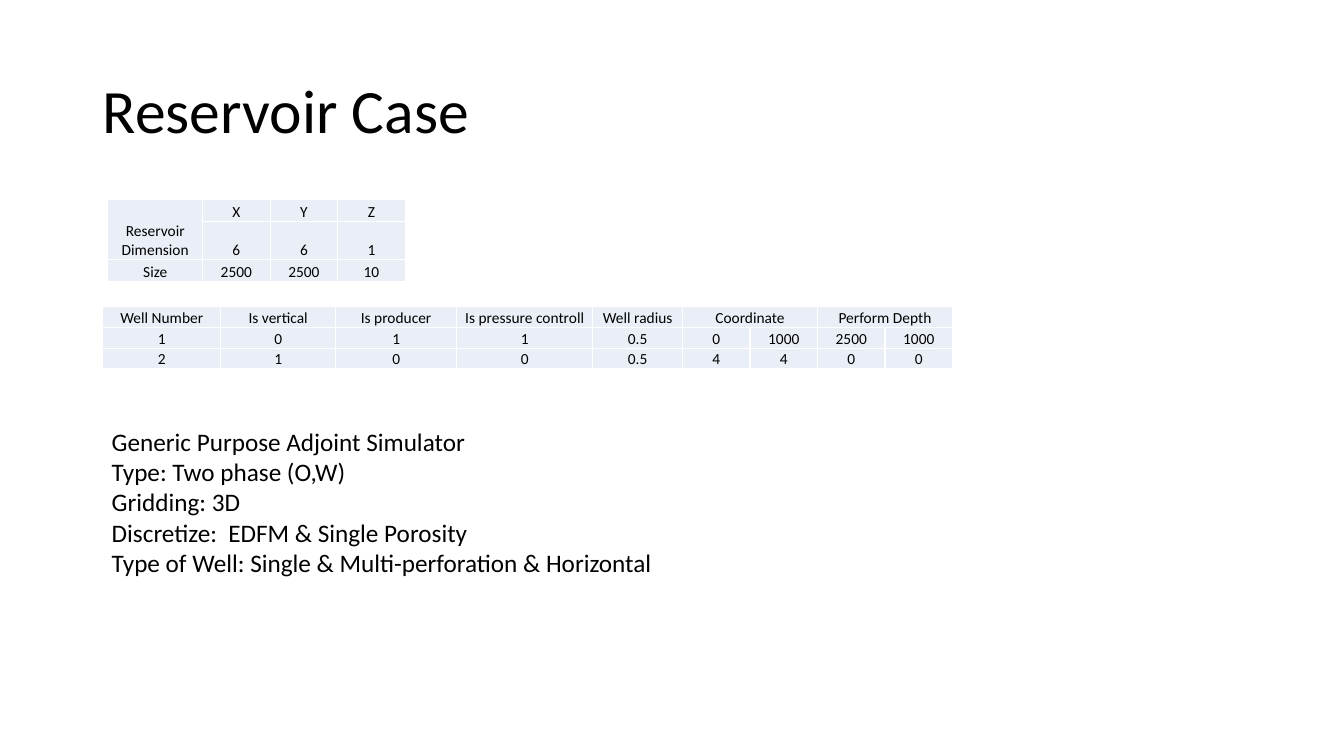
from pptx import Presentation
from pptx.dml.color import RGBColor
from pptx.enum.text import MSO_ANCHOR, PP_ALIGN
from pptx.oxml import parse_xml
from pptx.oxml.ns import nsdecls
from pptx.util import Pt

PX = 9144  # EMU per px, 100 px to the inch
FONT, BLACK, WHITE, PALE = "Calibri", "000000", "FFFFFF", "EAEFF7"


def px(*lengths):
    return [n * PX for n in lengths]


def color(value):
    return RGBColor.from_string(value)


def set_attrs(obj, values):
    for name, value in values.items():
        setattr(obj, name, value)


def add_run(p, text, size):
    r = p.add_run()
    r.text = text
    set_attrs(r.font, {"name": FONT, "size": Pt(size)})
    r.font.color.rgb = color(BLACK)


def add_text(s, box, lines, size, anchor=MSO_ANCHOR.TOP, spacing=1.0):
    tf = s.shapes.add_textbox(*px(*box)).text_frame
    set_attrs(tf, {"word_wrap": True, "vertical_anchor": anchor})
    for i, line in enumerate(lines):
        p = tf.paragraphs[0] if i == 0 else tf.add_paragraph()
        p.line_spacing = spacing
        add_run(p, line, size)


def add_borders(cell):
    tcPr = cell._tc.get_or_add_tcPr()
    for i, side in enumerate(("lnL", "lnR", "lnT", "lnB")):
        tcPr.insert(i, parse_xml(
            f'<a:{side} {nsdecls("a")} w="12700"><a:solidFill>'
            f'<a:srgbClr val="{WHITE}"/></a:solidFill></a:{side}>'))


def format_cell(cell, text):
    set_attrs(cell, {"margin_left": PX, "margin_right": PX, "margin_top": PX,
                     "margin_bottom": 0, "vertical_anchor": MSO_ANCHOR.BOTTOM})
    cell.fill.solid()
    cell.fill.fore_color.rgb = color(PALE)
    add_borders(cell)
    p = cell.text_frame.paragraphs[0]
    p.alignment = PP_ALIGN.CENTER
    add_run(p, text, 11)


def add_grid(s, left, top, widths, heights, rows, merges):
    size = px(left, top, sum(widths), sum(heights))
    table = s.shapes.add_table(len(rows), len(widths), *size).table
    set_attrs(table, {"first_row": False, "horz_banding": False})
    for column, width in zip(table.columns, px(*widths)):
        column.width = width
    for row, height in zip(table.rows, px(*heights)):
        row.height = height
    for i, row in enumerate(rows):
        for j, text in enumerate(row):
            format_cell(table.cell(i, j), text)
    for start, end in merges:
        table.cell(*start).merge(table.cell(*end))


def main():
    prs = Presentation()
    prs.slide_width, prs.slide_height = px(1333, 750)
    s = prs.slides.add_slide(prs.slide_layouts[6])

    # Title
    add_text(s, (92, 40, 1150, 145), ["Reservoir Case"], 44,
             MSO_ANCHOR.MIDDLE, 0.9)

    # Wells
    add_grid(s, 102, 304, [117, 114, 120, 135, 89] + [67] * 4, [21, 21, 15], [
        ["Well Number", "Is vertical", "Is producer", "Is pressure controll",
         "Well radius", "Coordinate", "", "Perform Depth", ""],
        ["1", "0", "1", "1", "0.5", "0", "1000", "2500", "1000"],
        ["2", "1", "0", "0", "0.5", "4", "4", "0", "0"],
    ], [((0, 5), (0, 6)), ((0, 7), (0, 8))])

    # Reservoir dimensions
    add_grid(s, 107, 198, [94] + [67] * 3, [22] * 3, [
        ["Reservoir Dimension", "X", "Y", "Z"],
        ["", "6", "6", "1"],
        ["Size", "2500", "2500", "10"],
    ], [((0, 0), (1, 0))])

    # Simulator features
    add_text(s, (101, 418, 598, 222), [
        "Generic Purpose Adjoint Simulator",
        "Type: Two phase (O,W)",
        "Gridding: 3D",
        "Discretize:  EDFM & Single Porosity",
        "Type of Well: Single & Multi-perforation & Horizontal",
    ], 18)

    prs.save("out.pptx")


if __name__ == "__main__":
    main()
